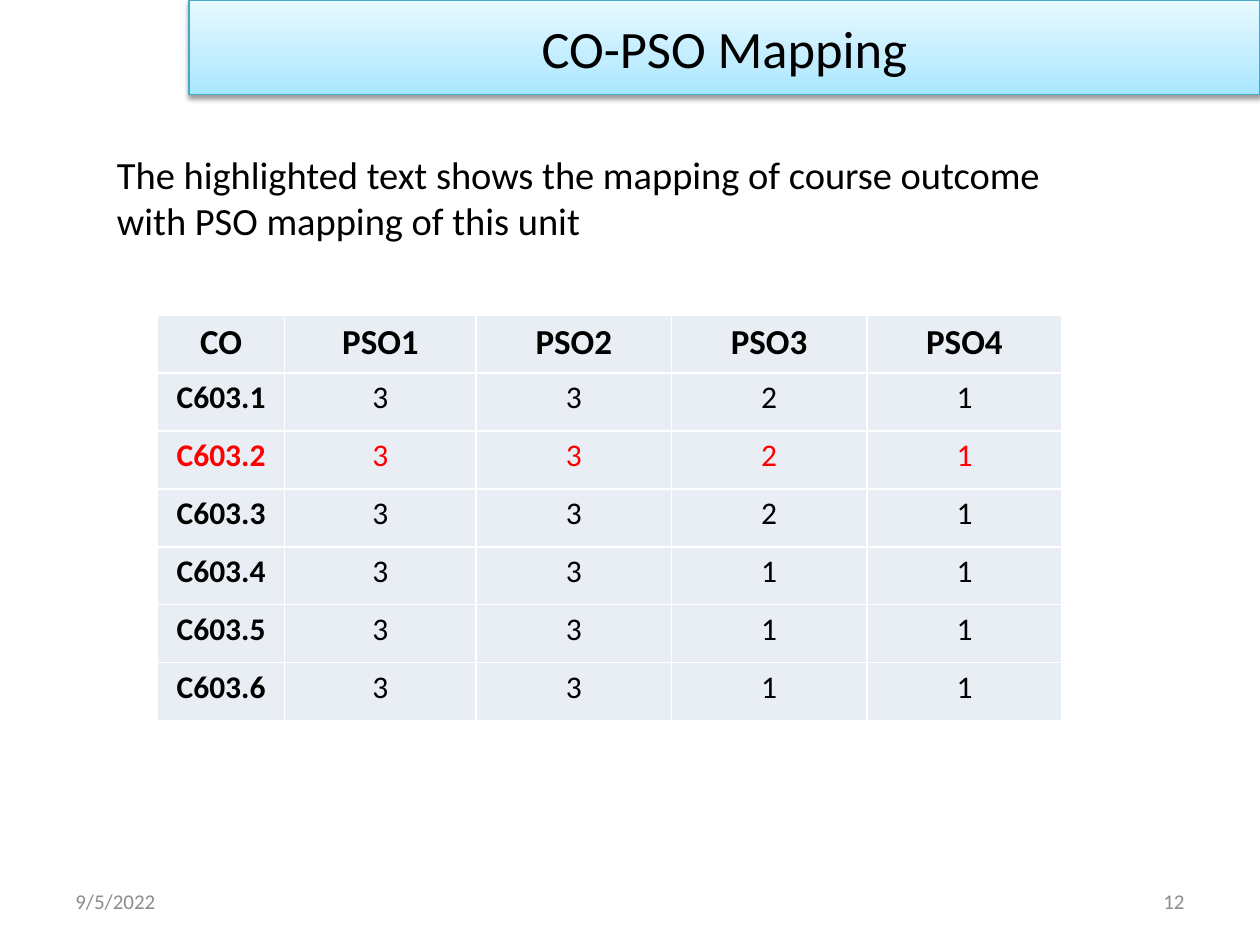
from copy import deepcopy
from dataclasses import dataclass

from lxml import etree
from pptx import Presentation
from pptx.dml.color import RGBColor
from pptx.enum import text
from pptx.oxml import ns
from pptx.util import Inches, Pt


@dataclass(frozen=True)
class Theme:
    font: str = "Calibri"
    ink: str = "000000"
    muted: str = "8C8C8C"
    highlight: str = "FF0000"
    cell: str = "E9EDF4"
    border: str = "FFFFFF"
    banner_line: str = "46AAC5"
    banner_stops: tuple = ((0, "A7E6FF"), (0.35, "C1EDFF"), (1, "E7F8FF"))
    title_size: int = 30
    body_size: int = 22
    header_size: int = 20
    value_size: int = 18
    footer_size: int = 12


@dataclass(frozen=True)
class Label:
    words: str
    place: tuple
    size: int
    color: str
    align: text.PP_ALIGN = text.PP_ALIGN.LEFT
    anchor: text.MSO_ANCHOR = text.MSO_ANCHOR.MIDDLE


@dataclass(frozen=True)
class Outcome:
    name: str
    levels: tuple
    highlighted: bool = False


THEME = Theme()
LABELS = (
    Label("9/5/2022", (0.5, 6.95, 2.33, 0.4), THEME.footer_size, THEME.muted),
    Label("12", (7.17, 6.95, 2.33, 0.4), THEME.footer_size, THEME.muted,
          align=text.PP_ALIGN.RIGHT),
    Label("The highlighted text shows the mapping of course outcome "
          "with PSO mapping of this unit",
          (0.83, 1.15, 8.08, 0.84), THEME.body_size, THEME.ink,
          anchor=text.MSO_ANCHOR.TOP),
)
HEADINGS = ("CO", "PSO1", "PSO2", "PSO3", "PSO4")
OUTCOMES = (
    Outcome("C603.1", (3, 3, 2, 1)),
    Outcome("C603.2", (3, 3, 2, 1), highlighted=True),
    Outcome("C603.3", (3, 3, 2, 1)),
    Outcome("C603.4", (3, 3, 1, 1)),
    Outcome("C603.5", (3, 3, 1, 1)),
    Outcome("C603.6", (3, 3, 1, 1)),
)
COLUMN_WIDTHS = (1.01, 1.52, 1.55, 1.55, 1.55)
ROW_HEIGHT = 0.46


def assign(target, values: dict) -> None:
    for name, value in values.items():
        setattr(target, name, value)


def write(frame, words: str, size: int, color: str, align, bold: bool = False,
          **spacing) -> None:
    para = frame.paragraphs[0]
    assign(para, {"alignment": align, **spacing})
    span = para.add_run()
    span.text = words
    assign(span.font, {"name": THEME.font, "size": Pt(size), "bold": bold})
    span.font.color.rgb = RGBColor.from_string(color)


def add_label(page, label: Label) -> None:
    box = page.shapes.add_textbox(*map(Inches, label.place))
    assign(box.text_frame, {"word_wrap": True, "vertical_anchor": label.anchor})
    write(box.text_frame, label.words, label.size, label.color, label.align)


def add_shadow(shape) -> None:
    shape.shadow.inherit = False
    effects = shape._element.spPr.find(ns.qn("a:effectLst"))
    shadow = etree.SubElement(effects, ns.qn("a:outerShdw"), blurRad=str(Pt(3.1)),
                              dist=str(Pt(1.6)), dir="5400000", rotWithShape="0")
    tone = etree.SubElement(shadow, ns.qn("a:srgbClr"), val=THEME.ink)
    etree.SubElement(tone, ns.qn("a:alpha"), val="38000")


def format_banner(banner) -> None:
    place = (1.5, 0, 8.5, 0.75)
    assign(banner, dict(zip(("left", "top", "width", "height"), map(Inches, place))))
    banner.fill.gradient()
    banner.fill.gradient_angle = 90
    stops = banner._element.spPr.find(".//" + ns.qn("a:gsLst"))
    stops.append(deepcopy(stops[-1]))
    for stop, (position, color) in zip(banner.fill.gradient_stops, THEME.banner_stops):
        stop.position = position
        stop.color.rgb = RGBColor.from_string(color)
    banner.line.color.rgb = RGBColor.from_string(THEME.banner_line)
    banner.line.width = Pt(0.75)
    add_shadow(banner)
    assign(banner.text_frame, {"word_wrap": True, "auto_size": text.MSO_AUTO_SIZE.NONE,
                               "vertical_anchor": text.MSO_ANCHOR.MIDDLE})
    write(banner.text_frame, "CO-PSO Mapping", THEME.title_size, THEME.ink,
          text.PP_ALIGN.CENTER)


def fill_cell(cell, words: str, size: int, color: str, bold: bool) -> None:
    properties = cell._tc.get_or_add_tcPr()
    for side in ("lnL", "lnR", "lnT", "lnB"):
        edge = etree.SubElement(properties, ns.qn(f"a:{side}"), w=str(Pt(1)))
        paint = etree.SubElement(edge, ns.qn("a:solidFill"))
        etree.SubElement(paint, ns.qn("a:srgbClr"), val=THEME.border)
    cell.fill.solid()
    cell.fill.fore_color.rgb = RGBColor.from_string(THEME.cell)
    assign(cell, {"margin_left": Inches(0.07), "margin_right": Inches(0.07),
                  "margin_top": 0, "margin_bottom": 0})
    write(cell.text_frame, words, size, color, text.PP_ALIGN.CENTER, bold,
          line_spacing=1.15, space_after=Pt(10))


def add_mapping(page) -> None:
    row_count = len(OUTCOMES) + 1
    table = page.shapes.add_table(
        row_count, len(HEADINGS), Inches(1.25), Inches(2.5),
        Inches(sum(COLUMN_WIDTHS)), Inches(ROW_HEIGHT * row_count)).table
    assign(table, {"first_row": False, "horz_banding": False})
    for column, width in zip(table.columns, COLUMN_WIDTHS):
        column.width = Inches(width)
    for row in table.rows:
        row.height = Inches(ROW_HEIGHT)
    for index, heading in enumerate(HEADINGS):
        fill_cell(table.cell(0, index), heading, THEME.header_size, THEME.ink, True)
    for row_index, outcome in enumerate(OUTCOMES, start=1):
        color = THEME.highlight if outcome.highlighted else THEME.ink
        for index, value in enumerate((outcome.name, *outcome.levels)):
            fill_cell(table.cell(row_index, index), str(value), THEME.value_size,
                      color, index == 0)


def main() -> None:
    deck = Presentation()
    assign(deck, {"slide_width": Inches(10), "slide_height": Inches(7.5)})
    page = deck.slides.add_slide(deck.slide_layouts[5])
    format_banner(page.shapes.title)
    for label in LABELS:
        add_label(page, label)
    add_mapping(page)
    deck.save("out.pptx")


if __name__ == "__main__":
    main()
